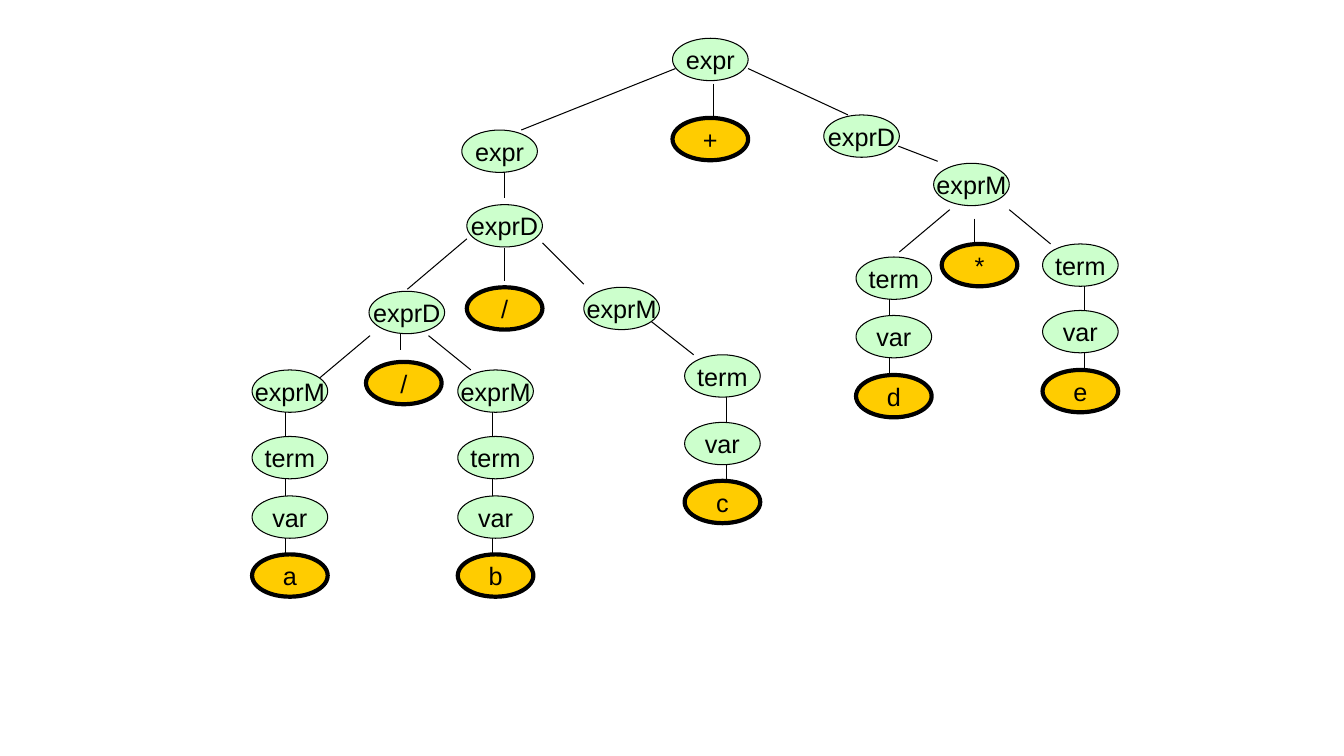
import pptx
import pptx.util
import pptx.dml.color
import pptx.enum.shapes
import pptx.enum.text
from pptx.util import Inches
from lxml import etree


def color(code):
    return pptx.dml.color.RGBColor.from_string(code)


def write(frame, text, size=18, font="Arial", ink="000000"):
    frame.word_wrap = False
    frame.vertical_anchor = pptx.enum.text.MSO_ANCHOR.MIDDLE
    para = frame.paragraphs[0]
    para.alignment = pptx.enum.text.PP_ALIGN.CENTER
    run = para.add_run()
    run.text = text
    run.font.size = pptx.util.Pt(size)
    run.font.name = font
    run.font.color.rgb = color(ink)


class Tree:
    wide, high = 0.75, 0.42
    ink, rule, token = "000000", "CCFFCC", "FFCC00"
    thin, thick = 0.75, 3

    def __init__(self, slide):
        self.slide = slide

    def stroke(self, line, width):
        line.color.rgb = color(self.ink)
        line.width = pptx.util.Pt(width)

    def node(self, text, left, top, leaf=False):
        oval = self.slide.shapes.add_shape(
            pptx.enum.shapes.MSO_SHAPE.OVAL,
            Inches(left), Inches(top), Inches(self.wide), Inches(self.high))
        oval.shadow.inherit = False
        oval.fill.solid()
        oval.fill.fore_color.rgb = color(self.token if leaf else self.rule)
        self.stroke(oval.line, self.thick if leaf else self.thin)
        write(oval.text_frame, text, ink=self.ink)

    def edge(self, *ends):
        link = self.slide.shapes.add_connector(
            pptx.enum.shapes.MSO_CONNECTOR.STRAIGHT, *map(Inches, ends))
        self.stroke(link.line, self.thin)
        etree.SubElement(link._element.spPr, pptx.oxml.ns.qn("a:effectLst"))

    def chain(self, words, left, tops, stem):
        for word, top in zip(words, tops):
            self.node(word, left, top, word == words[-1])
        for top, below in zip(tops, tops[1:]):
            self.edge(stem, top + self.high, stem, below)


deck = pptx.Presentation()
deck.slide_width, deck.slide_height = Inches(13.33), Inches(7.5)
tree = Tree(deck.slides.add_slide(deck.slide_layouts[6]))

rules = [
    ("expr", 6.67, 0.38), ("expr", 4.58, 1.29),
    ("exprD", 8.17, 1.14), ("exprM", 9.26, 1.62),
    ("exprD", 4.63, 2.03), ("exprD", 3.66, 2.89), ("exprM", 5.79, 2.85),
]
signs = [("+", 6.67, 1.17), ("*", 9.34, 2.42), ("/", 4.63, 2.85), ("/", 3.63, 3.59)]
for group, leaf in ((rules, False), (signs, True)):
    for text, left, top in group:
        tree.node(text, left, top, leaf)

steps = ["exprM", "term", "var"]
chains = [
    (steps + ["a"], 2.5, (3.67, 4.33, 4.92, 5.5), 2.83),
    (steps + ["b"], 4.54, (3.67, 4.33, 4.92, 5.5), 4.88),
    (steps[1:] + ["c"], 6.79, (3.52, 4.19, 4.77), 7.21),
    (steps[1:] + ["d"], 8.49, (2.55, 3.13, 3.72), 8.82),
    (steps[1:] + ["e"], 10.34, (2.42, 3.08, 3.67), 10.76),
]
for chain in chains:
    tree.chain(*chain)

edges = [
    (6.7, 0.68, 5.17, 1.29), (7.08, 0.83, 7.08, 1.17), (7.42, 0.68, 8.41, 1.14),
    (5, 1.71, 5, 1.96), (8.91, 1.45, 9.3, 1.6),
    (9.42, 2.08, 8.92, 2.5), (9.67, 2.17, 9.67, 2.42), (10.01, 2.08, 10.42, 2.42),
    (4.63, 2.37, 4.04, 2.87), (5, 2.46, 5, 2.79), (5.38, 2.41, 5.79, 2.82),
    (3.67, 3.33, 3.17, 3.75), (3.97, 3.31, 3.97, 3.47), (4.25, 3.33, 4.67, 3.67),
    (6.46, 3.19, 6.88, 3.52),
]
for ends in edges:
    tree.edge(*ends)

deck.save("out.pptx")
